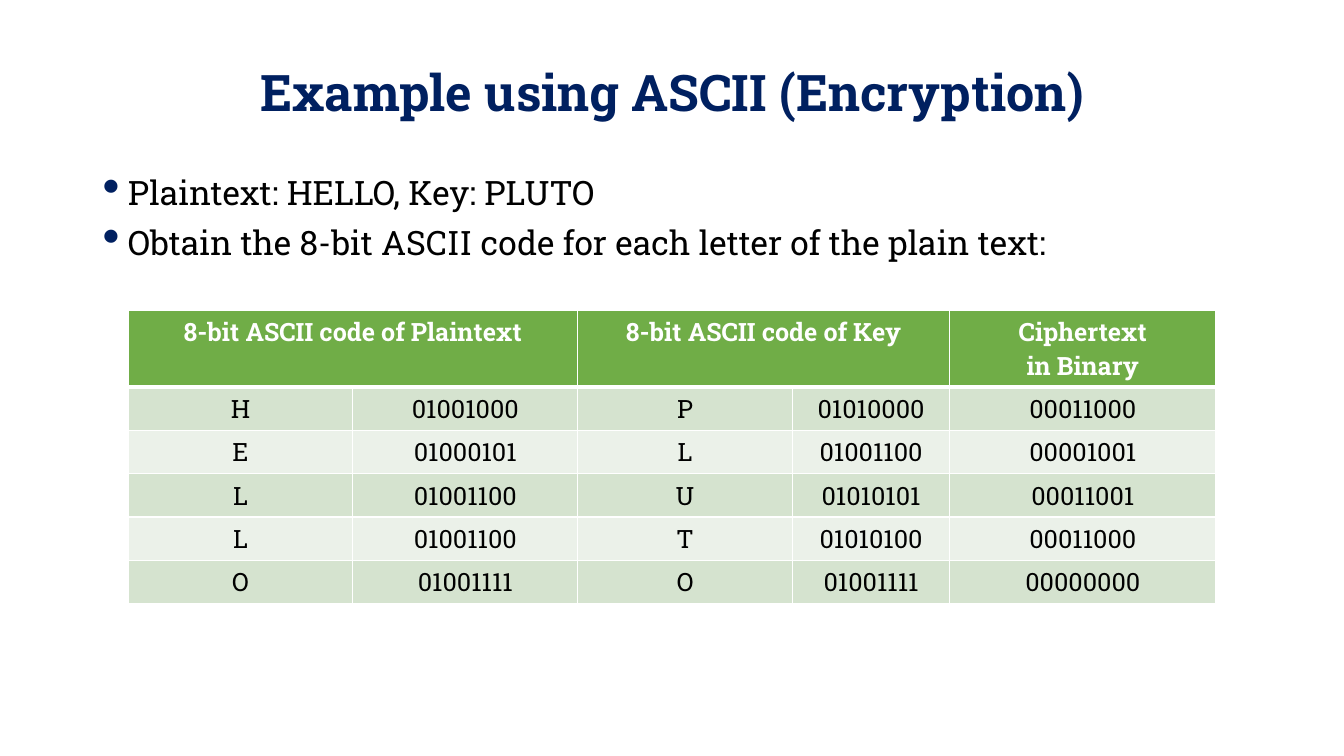
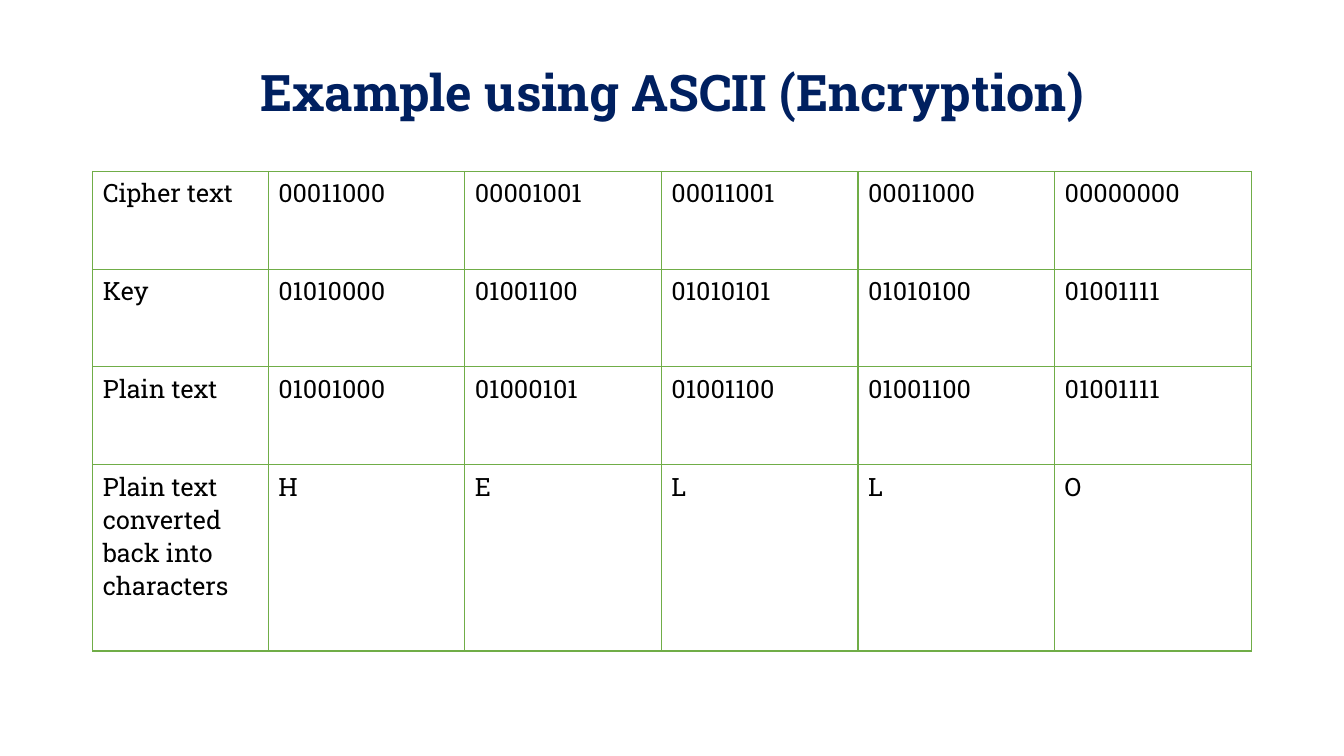
from lxml import etree
from pptx import Presentation
from pptx.dml.color import RGBColor
from pptx.enum.text import MSO_ANCHOR, PP_ALIGN
from pptx.oxml.ns import qn
from pptx.util import Inches, Pt

LEFT, CENTER, JUSTIFY = PP_ALIGN.LEFT, PP_ALIGN.CENTER, PP_ALIGN.JUSTIFY
MIDDLE = MSO_ANCHOR.MIDDLE

NAVY = RGBColor(0x00, 0x20, 0x60)
BLACK = RGBColor(0x00, 0x00, 0x00)
WHITE = RGBColor(0xFF, 0xFF, 0xFF)
GREEN = RGBColor(0x70, 0xAD, 0x47)
BANDS = RGBColor(0xD5, 0xE3, 0xCF), RGBColor(0xEB, 0xF1, 0xE9)

FONT = "Roboto Slab"
TITLE = 0.92, 0.4, 11.5, 1.09
BODY = 0.92, 1.7, 11.5, 1.2
PLAIN, KEY = "HELLO", "PLUTO"


def style(para, size, color, align, bold=False):
    para.alignment = align
    font = para.font
    font.name, font.size, font.bold = FONT, Pt(size), bold
    font.color.rgb = color


def add_text(slide, box, lines):
    frame = slide.shapes.add_textbox(*map(Inches, box)).text_frame
    frame.word_wrap = True
    frame.text = "\n".join(lines)
    for para in frame.paragraphs:
        para.line_spacing = 0.9
    return frame


def add_slide(deck, title):
    slide = deck.slides.add_slide(deck.slide_layouts[6])
    frame = add_text(slide, TITLE, [title])
    frame.vertical_anchor = MIDDLE
    style(frame.paragraphs[0], 36, NAVY, CENTER, bold=True)
    return slide


def add_bullets(slide, box, lines):
    for i, para in enumerate(add_text(slide, box, lines).paragraphs):
        props = para._p.get_or_add_pPr()
        props.set("marL", str(Inches(0.25)))
        props.set("indent", str(Inches(-0.25)))
        tint = etree.SubElement(props, qn("a:buClr"))
        etree.SubElement(tint, qn("a:srgbClr"), val=str(NAVY))
        etree.SubElement(props, qn("a:buSzPct"), val="150000")
        etree.SubElement(props, qn("a:buChar"), char="•")
        para.space_before = Pt(10 if i else 0)
        style(para, 24, BLACK, JUSTIFY)


def add_borders(cell, color, widths):
    """Draw the left, right, top and bottom border; widths in points."""
    props = cell._tc.get_or_add_tcPr()
    for side, width in zip("LRTB", widths):
        line = etree.SubElement(props, qn("a:ln" + side), w=str(Pt(width)))
        fill = etree.SubElement(line, qn("a:solidFill"))
        etree.SubElement(fill, qn("a:srgbClr"), val=str(color))


def add_table(slide, left, top, cols, rows):
    shape = slide.shapes.add_table(
        len(rows), len(cols), Inches(left), Inches(top),
        Inches(sum(cols)), Inches(sum(rows)))
    table = shape.table
    table.first_row = table.horz_banding = False
    for col, width in zip(table.columns, cols):
        col.width = Inches(width)
    for row, height in zip(table.rows, rows):
        row.height = Inches(height)
    return table


def fill_cell(cell, text, color, align, bold=False, fill=None):
    cell.text = text
    for para in cell.text_frame.paragraphs:
        style(para, 18, color, align, bold)
    if fill is None:
        cell.fill.background()
    else:
        cell.fill.solid()
        cell.fill.fore_color.rgb = fill


def to_bits(code):
    return format(code, "08b")


def mix(plain, key):
    """Return the XOR of two letters as bits."""
    return to_bits(ord(plain) ^ ord(key))


def add_cipher(slide, left, top):
    table = add_table(slide, left, top, [2.23, 2.23, 2.13, 1.56, 2.64],
                      [0.76] + [0.43] * len(PLAIN))
    heads = ["8-bit ASCII code of Plaintext", "",
             "8-bit ASCII code of Key", "", "Ciphertext\nin Binary"]
    for i, head in enumerate(heads):
        cell = table.cell(0, i)
        add_borders(cell, WHITE, (1, 1, 1, 3))
        fill_cell(cell, head, WHITE, CENTER, True, GREEN)
    for i in (0, 2):
        table.cell(0, i).merge(table.cell(0, i + 1))
    for r, (p, k) in enumerate(zip(PLAIN, KEY), 1):
        texts = [p, to_bits(ord(p)), k, to_bits(ord(k)), mix(p, k)]
        for c, text in enumerate(texts):
            cell = table.cell(r, c)
            add_borders(cell, WHITE, (1, 1, 3 if r == 1 else 1, 1))
            fill_cell(cell, text, BLACK, CENTER, fill=BANDS[(r - 1) % 2])


def add_decode(slide, left, top):
    table = add_table(slide, left, top, [1.74] + [1.95] * len(PLAIN),
                      [0.97] * 3 + [1.85])
    rows = [
        ["Cipher text", *map(mix, PLAIN, KEY)],
        ["Key", *(to_bits(ord(k)) for k in KEY)],
        ["Plain text", *(to_bits(ord(p)) for p in PLAIN)],
        ["Plain text converted\vback into characters", *PLAIN],
    ]
    for r, row in enumerate(rows):
        for c, text in enumerate(row):
            cell = table.cell(r, c)
            add_borders(cell, GREEN, (1, 1, 1, 1))
            fill_cell(cell, text, BLACK, LEFT)


def main():
    deck = Presentation()
    deck.slide_width, deck.slide_height = Inches(13.33), Inches(7.5)
    title = "Example using ASCII (Encryption)"

    slide = add_slide(deck, title)
    add_bullets(slide, BODY, [
        f"Plaintext: {PLAIN}, Key: {KEY}",
        "Obtain the 8-bit ASCII code for each letter of the plain text:"])
    add_cipher(slide, 1.27, 3.08)

    add_decode(add_slide(deck, title), 0.92, 1.7)
    deck.save("out.pptx")


if __name__ == "__main__":
    main()
